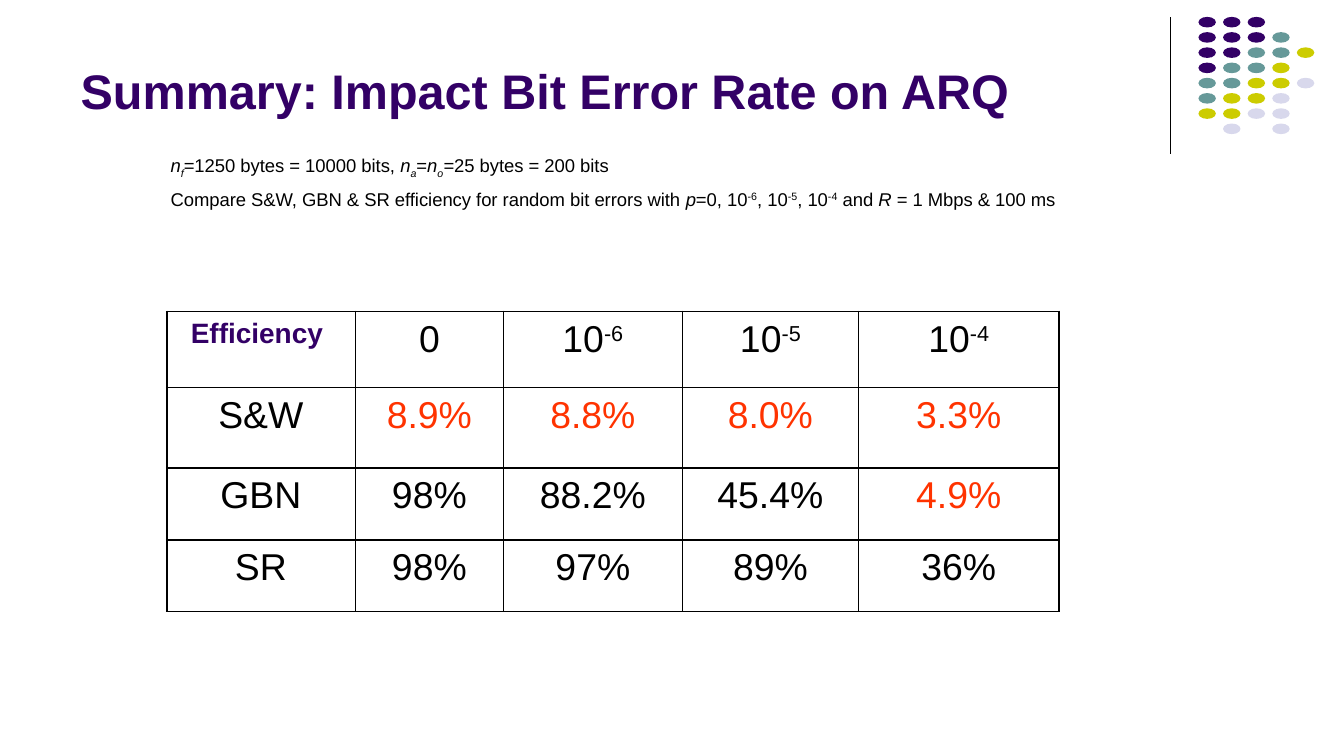
"""Build a slide comparing ARQ efficiency at several bit error rates."""
import pptx
import pptx.dml.color
import pptx.enum.shapes
import pptx.enum.text
import pptx.oxml.ns
import pptx.util
from lxml import etree
from pptx.util import Cm, Pt

COLORS = {"purple": "330066", "teal": "669999", "olive": "CCCC00",
          "lavender": "D8D8EC", "red": "FF3300", "black": "000000"}
ALIGN = pptx.enum.text.PP_ALIGN


def rgb(name):
    return pptx.dml.color.RGBColor.from_string(COLORS[name])


def add_runs(paragraph, segments, size, color="black", bold=False):
    for text, italic, baseline in segments:
        run = paragraph.add_run()
        run.text = text
        run.font.name = "Arial"
        run.font.size = Pt(size)
        run.font.bold = bold
        run.font.italic = italic
        run.font.color.rgb = rgb(color)
        if baseline:
            run.font._element.set("baseline", str(baseline * 1000))


presentation = pptx.Presentation()
presentation.slide_width = Cm(25.4)
presentation.slide_height = Cm(14.29)
slide = presentation.slides.add_slide(presentation.slide_layouts[1])
shapes = slide.shapes

divider = shapes.add_connector(pptx.enum.shapes.MSO_CONNECTOR.STRAIGHT,
                               Cm(22.12), Cm(0.33), Cm(22.12), Cm(2.92))
divider.line.color.rgb = rgb("black")
divider.line.width = Pt(0.74)
etree.SubElement(divider._element.spPr, pptx.oxml.ns.qn("a:effectLst"))

dot_colors = {"p": "purple", "t": "teal", "o": "olive", "l": "lavender"}
dot_rows = ["ppp", "pppt", "pptto", "ptto", "ttool", "tool", "ooll", " l l"]
dots = shapes.add_group_shape()
for row, pattern in enumerate(dot_rows):
    for column, letter in enumerate(pattern):
        if letter == " ":
            continue
        dot = dots.shapes.add_shape(
            pptx.enum.shapes.MSO_SHAPE.OVAL,
            Cm(22.65 + 0.465 * column), Cm(0.32 + 0.288 * row), Cm(0.33), Cm(0.2))
        dot.shadow.inherit = False
        dot.fill.solid()
        dot.fill.fore_color.rgb = rgb(dot_colors[letter])
        dot.line.fill.background()

title, body = slide.placeholders
frames = [(title, 1.27, 0.25, 20.96, 2.13), (body, 2.97, 2.79, 18.03, 1.8)]
for placeholder, left, top, width, height in frames:
    placeholder.left, placeholder.top = Cm(left), Cm(top)
    placeholder.width, placeholder.height = Cm(width), Cm(height)
    placeholder.text_frame.word_wrap = True
    placeholder.text_frame.auto_size = pptx.enum.text.MSO_AUTO_SIZE.NONE

title.text_frame.vertical_anchor = pptx.enum.text.MSO_ANCHOR.BOTTOM
title_paragraph = title.text_frame.paragraphs[0]
title_paragraph.alignment = ALIGN.LEFT
add_runs(title_paragraph, [("Summary: Impact Bit Error Rate on ARQ", False, 0)],
         26, "purple", True)

assumptions = [
    [("n", True, 0), ("f", True, -25), ("=1250 bytes = 10000 bits, ", False, 0),
     ("n", True, 0), ("a", True, -25), ("=", False, 0),
     ("n", True, 0), ("o", True, -25), ("=", True, 0),
     ("25 bytes = 200 bits", False, 0)],
    [("Compare S&W, GBN & SR efficiency for random bit errors with ", False, 0),
     ("p", True, 0), ("=0, 10", False, 0), ("-6", False, 30),
     (", 10", False, 0), ("-5", False, 30), (", 10", False, 0),
     ("-4", False, 30), (" and ", False, 0), ("R ", True, 0),
     ("= 1 Mbps & 100 ms ", False, 0)],
]
body.text_frame.vertical_anchor = pptx.enum.text.MSO_ANCHOR.TOP
for index, segments in enumerate(assumptions):
    paragraph = body.text_frame.paragraphs[0] if index == 0 else body.text_frame.add_paragraph()
    paragraph.space_before = Pt(4.5)
    properties = paragraph._p.get_or_add_pPr()
    properties.set("marL", str(Cm(0.71)))
    properties.set("indent", str(-Cm(0.71)))
    etree.SubElement(properties, pptx.oxml.ns.qn("a:buNone"))
    add_runs(paragraph, segments, 9.9)

efficiencies = [
    ["Efficiency ", "0", "10^-6", "10^-5", "10^-4"],
    ["S&W", "8.9%", "8.8%", "8.0%", "3.3%"],
    ["GBN", "98%", "88.2%", "45.4%", "4.9%"],
    ["SR", "98%", "97%", "89%", "36%"],
]
red_cells = {(1, 1), (1, 2), (1, 3), (1, 4), (2, 4)}
column_widths = [3.56, 2.81, 3.37, 3.34, 3.78]
row_heights = [1.44, 1.52, 1.36, 1.35]
vertical_rules = [1.08, 0.45, 0.45, 0.45, 0.45, 1.08]
horizontal_rules = [1.08, 0.45, 1.08, 1.08, 1.08]

table = shapes.add_table(4, 5, Cm(3.15), Cm(5.89),
                         Cm(sum(column_widths)), Cm(sum(row_heights))).table
for column, width in zip(table.columns, column_widths):
    column.width = Cm(width)
for row, height in zip(table.rows, row_heights):
    row.height = Cm(height)

for row, texts in enumerate(efficiencies):
    for column, text in enumerate(texts):
        cell = table.cell(row, column)
        cell.margin_left = cell.margin_right = Cm(0.2)
        cell.margin_top = cell.margin_bottom = Cm(0.13)
        corner = (row, column) == (0, 0)
        paragraph = cell.text_frame.paragraphs[0]
        paragraph.alignment = ALIGN.CENTER
        paragraph.space_before = Pt(3.7 if corner else 5)
        base, caret, exponent = text.partition("^")
        segments = [(base, False, 0)]
        if caret:
            segments.append((exponent, False, 30))
        color = "purple" if corner else "red" if (row, column) in red_cells else "black"
        add_runs(paragraph, segments, 15 if corner else 20, color, corner)
        borders = {"L": vertical_rules[column], "R": vertical_rules[column + 1],
                   "T": horizontal_rules[row], "B": horizontal_rules[row + 1]}
        cell_properties = cell._tc.get_or_add_tcPr()
        for side, points in borders.items():
            border = etree.SubElement(cell_properties, pptx.oxml.ns.qn("a:ln" + side),
                                      w=str(Pt(points)))
            fill = etree.SubElement(border, pptx.oxml.ns.qn("a:solidFill"))
            etree.SubElement(fill, pptx.oxml.ns.qn("a:srgbClr"), val=COLORS["black"])
        cell.fill.background()

presentation.save("out.pptx")
